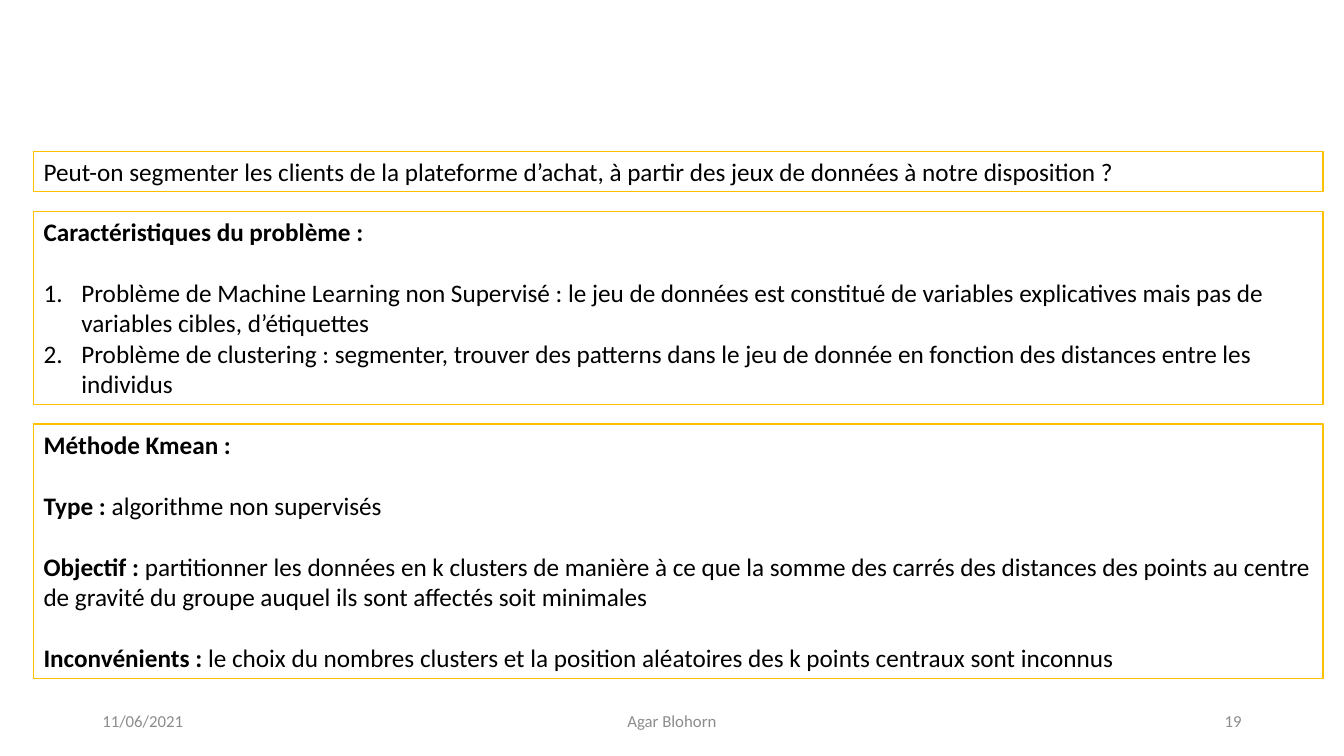
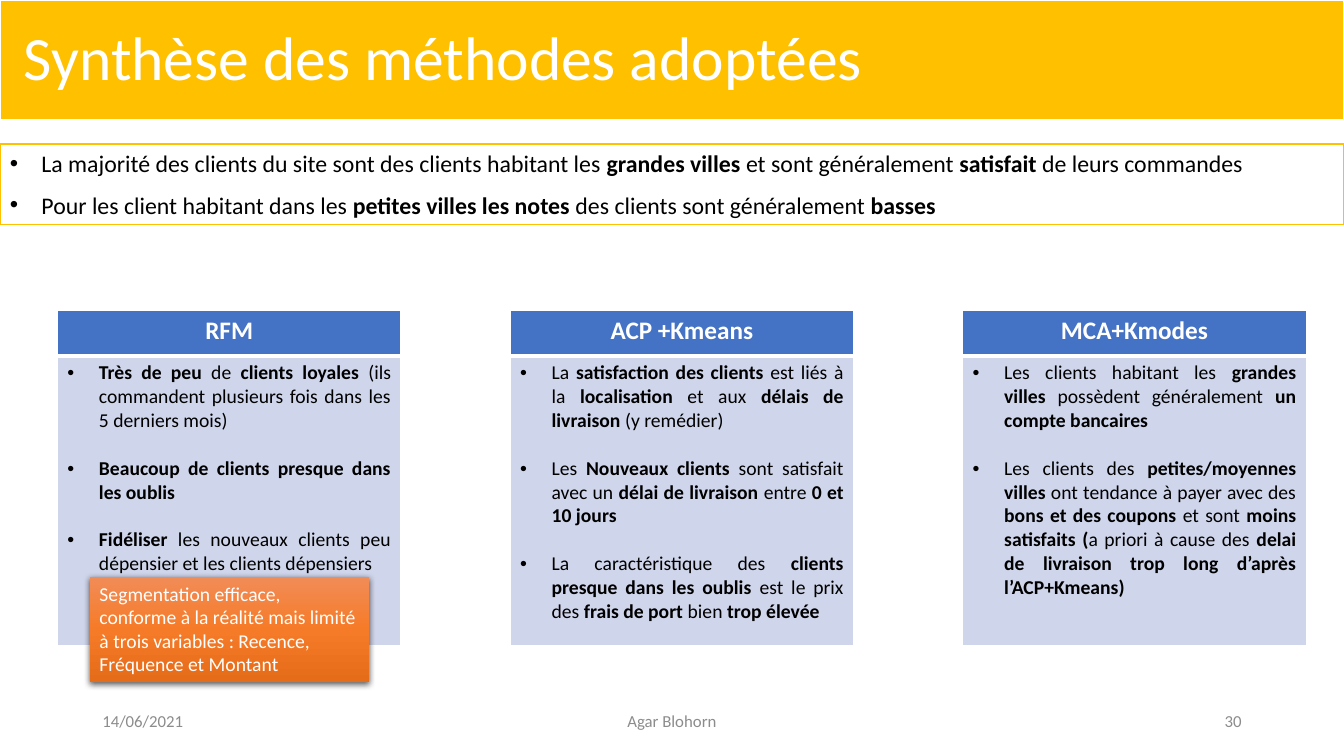
from lxml import etree
from pptx import Presentation
from pptx.dml.color import RGBColor
from pptx.enum.shapes import MSO_SHAPE
from pptx.enum.text import MSO_ANCHOR, PP_ALIGN
from pptx.oxml.ns import qn
from pptx.util import Pt

RECT = MSO_SHAPE.RECTANGLE
TOP, MIDDLE = MSO_ANCHOR.TOP, MSO_ANCHOR.MIDDLE
LEFT, CENTER, RIGHT = PP_ALIGN.LEFT, PP_ALIGN.CENTER, PP_ALIGN.RIGHT
FULL = PP_ALIGN.JUSTIFY

FONT = "Calibri"
WIDE, HIGH = 960, 540
COLORS = {
    "gold": "FFC000", "white": "FFFFFF", "black": "000000", "gray": "8C8C8C",
    "blue": "4472C4", "pale": "CFD5EA",
    "light": "F18C57", "mid": "F67B28", "dark": "E56C19",
}


def color(name):
    return RGBColor.from_string(COLORS[name])


def node(parent, tag, **values):
    return etree.SubElement(parent, qn(tag), {k: str(v) for k, v in values.items()})


# Text: parts between stars are bold
def write(para, text, size, ink, align=LEFT):
    para.alignment = align
    for i, part in enumerate(text.split("*")):
        if part:
            run = para.add_run()
            run.text = part
            run.font.name = FONT
            run.font.size = Pt(size)
            run.font.bold = i % 2 == 1
            run.font.color.rgb = color(ink)


def mark(para, kind, indent):
    props = para._p.get_or_add_pPr()
    props.set("marL", str(Pt(indent)))
    props.set("indent", str(-Pt(indent)))
    if kind == "number":
        node(props, "a:buFont", typeface="+mj-lt")
        node(props, "a:buAutoNum", type="arabicPeriod")
    else:
        node(props, "a:buFont", typeface="Arial")
        node(props, "a:buChar", char="•")


def fill_text(frame, lines, size, ink="black", align=LEFT, gap=0, kind=None, indent=22.5):
    """Write lines one per paragraph, with a gap between them."""
    frame.word_wrap = True
    for i, line in enumerate(lines):
        para = frame.add_paragraph() if i else frame.paragraphs[0]
        para.space_before = Pt(gap if i else 0)
        write(para, line, size, ink, align)
        if kind:
            mark(para, kind, indent)


# Shared parts
def add_title(slide, text):
    title = slide.shapes.title
    title.left, title.top, title.width, title.height = 0, 0, Pt(WIDE), Pt(86)
    title.fill.solid()
    title.fill.fore_color.rgb = color("gold")
    title.line.color.rgb = color("white")
    title.line.width = Pt(1.5)
    frame = title.text_frame
    frame.vertical_anchor = MIDDLE
    frame.margin_left = Pt(17)
    write(frame.paragraphs[0], text, 44, "white")
    frame.paragraphs[0].line_spacing = 0.9


def add_footer(slide, date, number):
    spots = [(66, 216, date, LEFT), (318, 324, "Agar Blohorn", CENTER),
             (678, 216, number, RIGHT)]
    for left, width, text, align in spots:
        frame = slide.shapes.add_textbox(Pt(left), Pt(500), Pt(width), Pt(29)).text_frame
        frame.vertical_anchor = MIDDLE
        fill_text(frame, [text], 12, "gray", align)


def add_box(slide, left, top, width, height):
    box = slide.shapes.add_shape(RECT, Pt(left), Pt(top), Pt(width), Pt(height))
    box.shadow.inherit = False
    box.fill.solid()
    box.fill.fore_color.rgb = color("white")
    box.line.color.rgb = color("gold")
    box.line.width = Pt(1)
    box.text_frame.vertical_anchor = TOP
    return box


# Method card: a header cell over a body cell
def style_cell(cell, fill, base):
    props = cell._tc.get_or_add_tcPr()
    for side, width in (("L", 1), ("R", 1), ("T", 1), ("B", base)):
        edge = node(props, "a:ln" + side, w=Pt(width))
        node(node(edge, "a:solidFill"), "a:srgbClr", val=COLORS["white"])
    cell.fill.solid()
    cell.fill.fore_color.rgb = color(fill)


def add_card(slide, left, top, width, head, points):
    rows = (32.4, 206.6)
    table = slide.shapes.add_table(2, 1, Pt(left), Pt(top), Pt(width), Pt(sum(rows))).table
    for row, height in zip(table.rows, rows):
        row.height = Pt(height)
    upper, lower = table.cell(0, 0), table.cell(1, 0)
    style_cell(upper, "blue", 3)
    style_cell(lower, "pale", 1)
    fill_text(upper.text_frame, [f"*{head}*"], 18, "white", CENTER)
    fill_text(lower.text_frame, points, 14, align=FULL, gap=17, kind="bullet")


# Orange note with a gradient and a soft shadow
def add_note(slide, left, top, width, height, text):
    note = slide.shapes.add_shape(RECT, Pt(left), Pt(top), Pt(width), Pt(height))
    note.shadow.inherit = False
    note.line.fill.background()
    note.fill.gradient()
    note.fill.gradient_angle = 270
    props = note._element.spPr
    stops = props.find(qn("a:gradFill")).find(qn("a:gsLst"))
    for stop in list(stops):
        stops.remove(stop)
    for place, name in ((0, "light"), (50000, "mid"), (100000, "dark")):
        node(node(stops, "a:gs", pos=place), "a:srgbClr", val=COLORS[name])
    shade = node(props.find(qn("a:effectLst")), "a:outerShdw", blurRad=Pt(4.5),
                 dist=Pt(1.5), dir=5400000, algn="ctr", rotWithShape=0)
    node(node(shade, "a:srgbClr", val=COLORS["black"]), "a:alpha", val=63000)
    note.text_frame.vertical_anchor = TOP
    fill_text(note.text_frame, [text], 14, "white")


# Slide: the problem and the method
def add_problem(deck):
    slide = deck.slides.add_slide(deck.slide_layouts[6])
    add_footer(slide, "11/06/2021", "19")
    frames, top = [], 108
    for height in (29, 138, 181.5):
        frames.append(add_box(slide, 24, top, 921, height).text_frame)
        top += height + 14
    ask, traits, method = frames
    fill_text(ask, ["Peut-on segmenter les clients de la plateforme d’achat, à partir des "
                    "jeux de données à notre disposition ?"], 18)
    fill_text(traits, ["*Caractéristiques du problème :*"], 18)
    items = [
        "Problème de Machine Learning non Supervisé : le jeu de données est constitué de "
        "variables explicatives mais pas de variables cibles, d’étiquettes",
        "Problème de clustering : segmenter, trouver des patterns dans le jeu de donnée en "
        "fonction des distances entre les individus",
    ]
    for i, item in enumerate(items):
        para = traits.add_paragraph()
        para.space_before = Pt(0 if i else 22)
        write(para, item, 18, "black")
        mark(para, "number", 27)
    fill_text(method, [
        "*Méthode Kmean :*",
        "*Type : *algorithme non supervisés",
        "*Objectif : *partitionner les données en k clusters de manière à ce que la somme des "
        "carrés des distances des points au centre de gravité du groupe auquel ils sont "
        "affectés soit minimales",
        "*Inconvénients : *le choix du nombres clusters et la position aléatoires des k "
        "points centraux sont inconnus",
    ], 18, gap=22)


# Slide: summary of the methods
CARDS = [
    ("RFM", [
        "*Très de peu *de *clients loyales* (ils commandent plusieurs fois dans les 5 "
        "derniers mois)",
        "*Beaucoup de clients presque dans les oublis*",
        "*Fidéliser* les nouveaux clients peu dépensier et les clients dépensiers",
    ]),
    ("ACP +Kmeans", [
        "La *satisfaction des clients *est liés à la *localisation* et aux *délais de "
        "livraison *(y remédier)",
        "Les *Nouveaux clients *sont satisfait avec un *délai de livraison *entre *0 et 10 "
        "jours*",
        "La caractéristique des *clients presque dans les oublis* est le prix des *frais de "
        "port *bien *trop élevée*",
    ]),
    ("MCA+Kmodes", [
        "Les clients habitant les *grandes villes *possèdent généralement *un compte "
        "bancaires*",
        "Les clients des *petites/moyennes villes *ont tendance à payer avec des *bons et "
        "des coupons *et sont *moins satisfaits (*a priori à cause des *delai de livraison "
        "trop long d’après l’ACP+Kmeans)*",
    ]),
]


def add_summary(deck):
    slide = deck.slides.add_slide(deck.slide_layouts[5])
    add_title(slide, "Synthèse des méthodes adoptées")
    add_footer(slide, "14/06/2021", "30")
    box = add_box(slide, 0, 103, WIDE, 57.5)
    fill_text(box.text_frame, [
        "La majorité des clients du site sont des clients habitant les *grandes villes *et "
        "sont généralement *satisfait* de leurs commandes",
        "Pour les client habitant dans les *petites villes les notes *des clients sont "
        "généralement *basses*",
    ], 17, gap=9, kind="bullet")
    for i, (head, points) in enumerate(CARDS):
        add_card(slide, 41 + i * 323.3, 222, 245.5, head, points)
    add_note(slide, 64, 412, 199.5, 75, "Segmentation efficace, conforme à la réalité mais "
             "limité à trois variables : Recence, Fréquence et Montant")


def main():
    deck = Presentation()
    deck.slide_width, deck.slide_height = Pt(WIDE), Pt(HIGH)
    add_problem(deck)
    add_summary(deck)
    deck.save("out.pptx")


if __name__ == "__main__":
    main()
